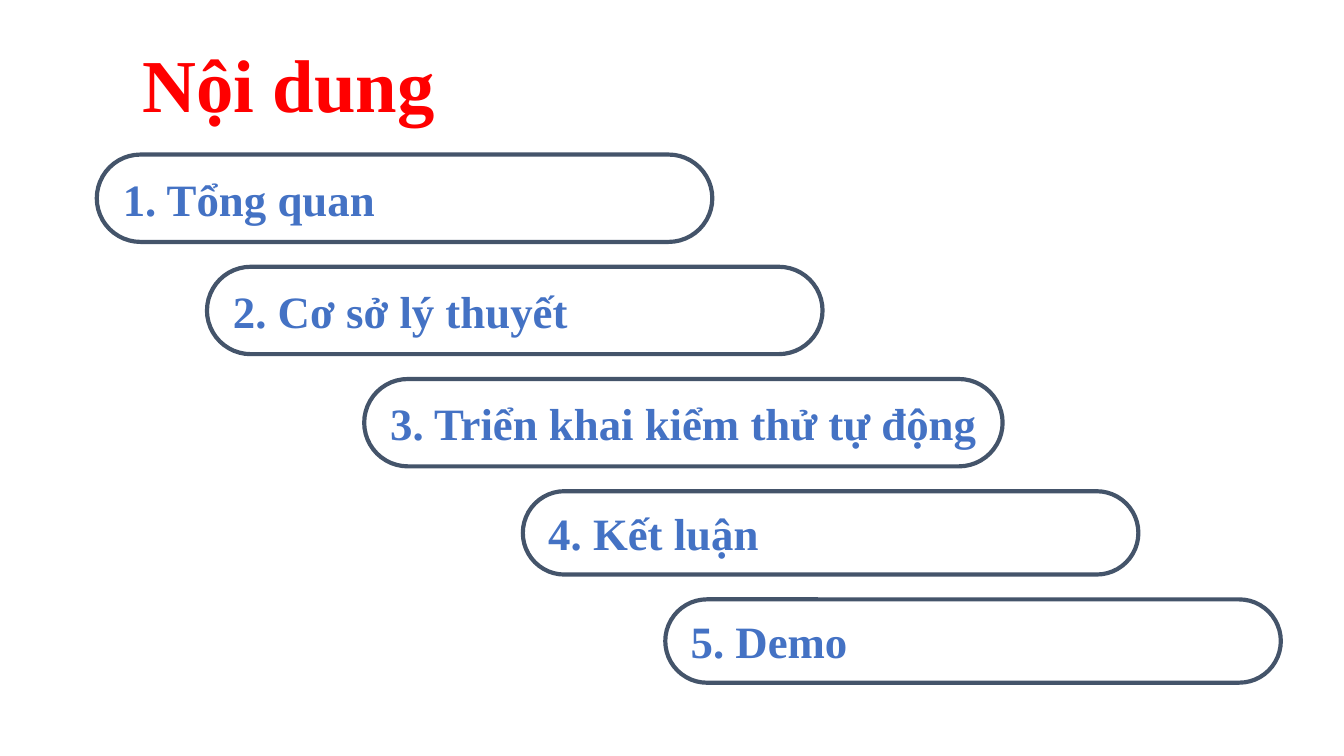
from dataclasses import dataclass

from pptx import Presentation
from pptx.dml.color import RGBColor
from pptx.enum.shapes import MSO_SHAPE
from pptx.enum.text import MSO_ANCHOR, PP_ALIGN
from pptx.util import Inches, Pt

ROUNDED = MSO_SHAPE.ROUNDED_RECTANGLE
MIDDLE, BOTTOM = MSO_ANCHOR.MIDDLE, MSO_ANCHOR.BOTTOM
LEFT = PP_ALIGN.LEFT


@dataclass(frozen=True)
class Theme:
    font: str = "Times New Roman"
    title_color: RGBColor = RGBColor(0xFF, 0x00, 0x00)
    item_color: RGBColor = RGBColor(0x44, 0x72, 0xC4)
    outline: RGBColor = RGBColor(0x44, 0x54, 0x6A)
    title_size: Pt = Pt(40)
    item_size: Pt = Pt(24)
    line_width: Pt = Pt(2.25)


THEME = Theme()

# Agenda items: text, left, width, height
ITEMS = [
    ("1. Tổng quan", 0.72, 4.58, 0.65),
    ("2. Cơ sở lý thuyết", 1.54, 4.58, 0.65),
    ("3. Triển khai kiểm thử tự động", 2.71, 4.75, 0.65),
    ("4. Kết luận", 3.89, 4.58, 0.62),
    ("5. Demo", 4.95, 4.58, 0.62),
]
ITEMS_TOP, ITEMS_BOTTOM = 1.15, 5.08


def add_run(p, text, size, color):
    r = p.add_run()
    r.text = text
    r.font.name = THEME.font
    r.font.size = size
    r.font.bold = True
    r.font.color.rgb = color


def add_title(s, text, left, top, width, height):
    tf = s.shapes.add_textbox(Inches(left), Inches(top),
                              Inches(width), Inches(height)).text_frame
    tf.word_wrap = True
    tf.vertical_anchor = BOTTOM
    tf.margin_left = tf.margin_right = tf.margin_top = tf.margin_bottom = 0
    p = tf.paragraphs[0]
    p.line_spacing = 0.9
    add_run(p, text, THEME.title_size, THEME.title_color)


def add_pill(s, text, left, top, width, height):
    sp = s.shapes.add_shape(ROUNDED, Inches(left), Inches(top),
                            Inches(width), Inches(height))
    sp.adjustments[0] = 0.5
    sp.shadow.inherit = False
    sp.fill.background()
    sp.line.color.rgb = THEME.outline
    sp.line.width = THEME.line_width
    tf = sp.text_frame
    tf.word_wrap = False
    tf.vertical_anchor = MIDDLE
    p = tf.paragraphs[0]
    p.alignment = LEFT
    add_run(p, text, THEME.item_size, THEME.item_color)


def add_agenda(s):
    # Equal gaps between the first top and the last bottom
    total = sum(height for *_, height in ITEMS)
    gap = (ITEMS_BOTTOM - ITEMS_TOP - total) / (len(ITEMS) - 1)
    top = ITEMS_TOP
    for text, left, width, height in ITEMS:
        add_pill(s, text, left, top, width, height)
        top += height + gap


def main():
    # Widescreen 16:9 page
    prs = Presentation()
    prs.slide_width = Inches(10)
    prs.slide_height = Inches(10 * 9 / 16)
    s = prs.slides.add_slide(prs.slide_layouts[6])

    # Heading
    add_title(s, "Nội dung", 1.06, 0.33, 3.9, 0.63)

    # Staircase of agenda items
    add_agenda(s)

    prs.save("out.pptx")


if __name__ == "__main__":
    main()
